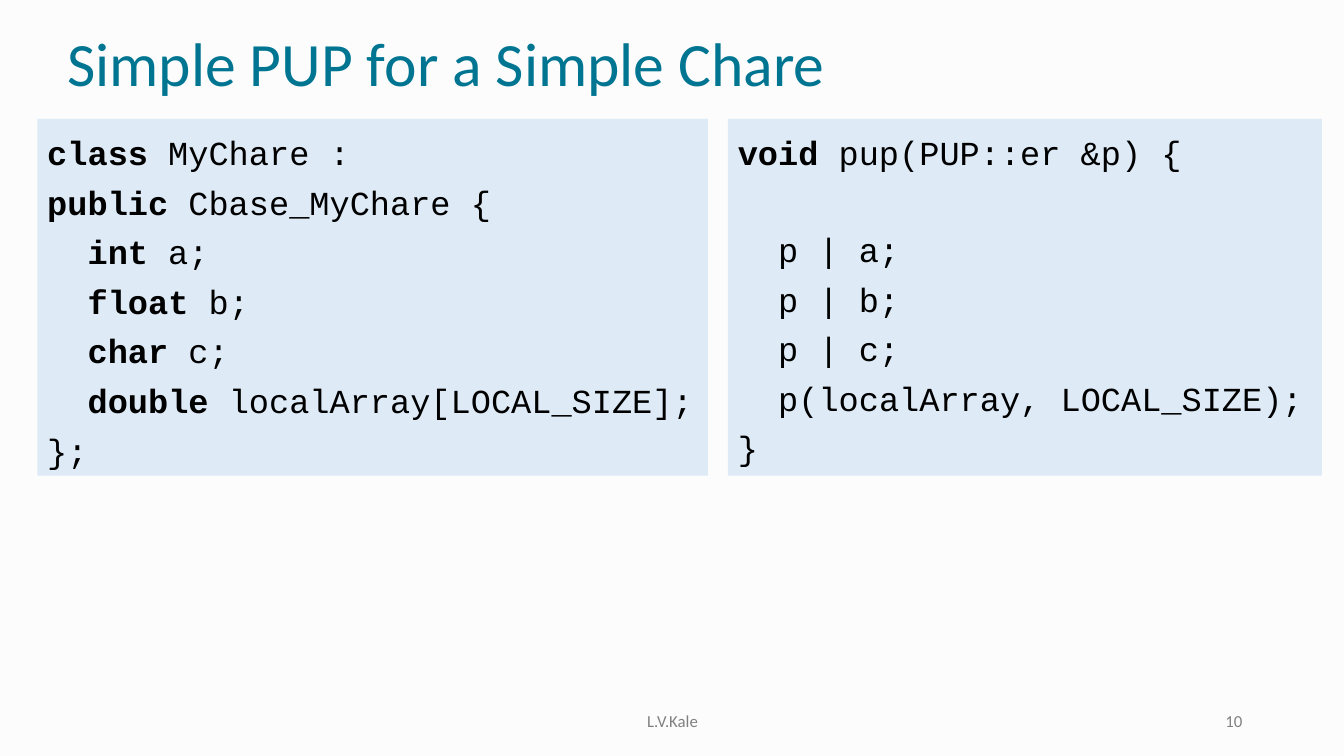
from pptx import Presentation
from pptx.dml.color import RGBColor
from pptx.enum.shapes import MSO_SHAPE
from pptx.enum.text import MSO_ANCHOR, PP_ALIGN
from pptx.util import Inches, Pt

WIDE, HIGH = Inches(13.33), Inches(7.5)
PAPER = RGBColor(0xFC, 0xFC, 0xFC)
TEAL = RGBColor(0x00, 0x75, 0x92)
GREY = RGBColor(0x80, 0x80, 0x80)
BLUE = RGBColor(0xDE, 0xEB, 0xF7)
BLACK = RGBColor(0x00, 0x00, 0x00)

HEAD = {"name": "Calibri", "size": Pt(44), "color": TEAL}
FOOT = {"name": "Calibri", "size": Pt(12), "color": GREY}
CODE = {"name": "Courier New", "size": Pt(24), "color": BLACK}

GAP, PITCH = 6.6, 33.8
CLASS = [
    ("class ", "MyChare :"),
    ("public", " Cbase_MyChare {"),
    ("  int ", "a;"),
    ("  float", " b;"),
    ("  char", " c;"),
    ("  double ", "localArray[LOCAL_SIZE];"),
    ("", "};"),
]
METHOD = [
    ("void", " pup(PUP::er &p) {"),
    None,
    ("", "  p | a;"),
    ("", "  p | b;"),
    ("", "  p | c;"),
    ("", "  p(localArray, LOCAL_SIZE);"),
    ("", "}"),
]


def place(left, top, width, height):
    """Turn percentages of the slide into lengths."""
    return [round(part * side / 100) for part, side in
            zip((left, top, width, height), (WIDE, HIGH, WIDE, HIGH))]


def style(font, form):
    """Set the font attributes held in a format dict."""
    for key, value in form.items():
        if key == "color":
            font.color.rgb = value
        else:
            setattr(font, key, value)


def label(slide, text, box, form, align=PP_ALIGN.LEFT, lead=1.0):
    """Add one line of text, centred vertically in its box."""
    frame = slide.shapes.add_textbox(*place(*box)).text_frame
    frame.word_wrap = True
    frame.vertical_anchor = MSO_ANCHOR.MIDDLE
    para = frame.paragraphs[0]
    para.alignment, para.line_spacing = align, lead
    run = para.add_run()
    run.text = text
    style(run.font, form)


def panel(slide, lines, left, width):
    """Add a code panel with bold keywords and spaced lines."""
    shape = slide.shapes.add_shape(
        MSO_SHAPE.RECTANGLE, *place(left, 15.73, width, 47.2))
    shape.shadow.inherit = False
    shape.fill.solid()
    shape.fill.fore_color.rgb = BLUE
    shape.line.fill.background()
    frame = shape.text_frame
    frame.word_wrap = True
    frame.vertical_anchor = MSO_ANCHOR.TOP
    frame.margin_top = Inches(0.13)
    space = 0
    for row, line in enumerate(lines):
        if line is None:
            space += PITCH
            continue
        para = frame.add_paragraph() if row else frame.paragraphs[0]
        para.alignment = PP_ALIGN.LEFT
        para.space_before = Pt(space)
        for text, bold in zip(line, (True, False)):
            if text:
                run = para.add_run()
                run.text = text
                style(run.font, {**CODE, "bold": bold})
        space = GAP


def main():
    """Build the slide and save it."""
    deck = Presentation()
    deck.slide_width, deck.slide_height = WIDE, HIGH
    slide = deck.slides.add_slide(deck.slide_layouts[6])
    slide.background.fill.solid()
    slide.background.fill.fore_color.rgb = PAPER
    label(slide, "Simple PUP for a Simple Chare",
          (4.28, 2, 86.27, 13.73), HEAD, lead=0.9)
    label(slide, "L.V.Kale", (33.16, 92.67, 33.76, 5.33), FOOT,
          PP_ALIGN.CENTER)
    label(slide, "10", (70.67, 92.67, 22.5, 5.33), FOOT, PP_ALIGN.RIGHT)
    panel(slide, CLASS, 2.78, 49.89)
    panel(slide, METHOD, 54.16, 44.19)
    deck.save("out.pptx")


if __name__ == "__main__":
    main()
